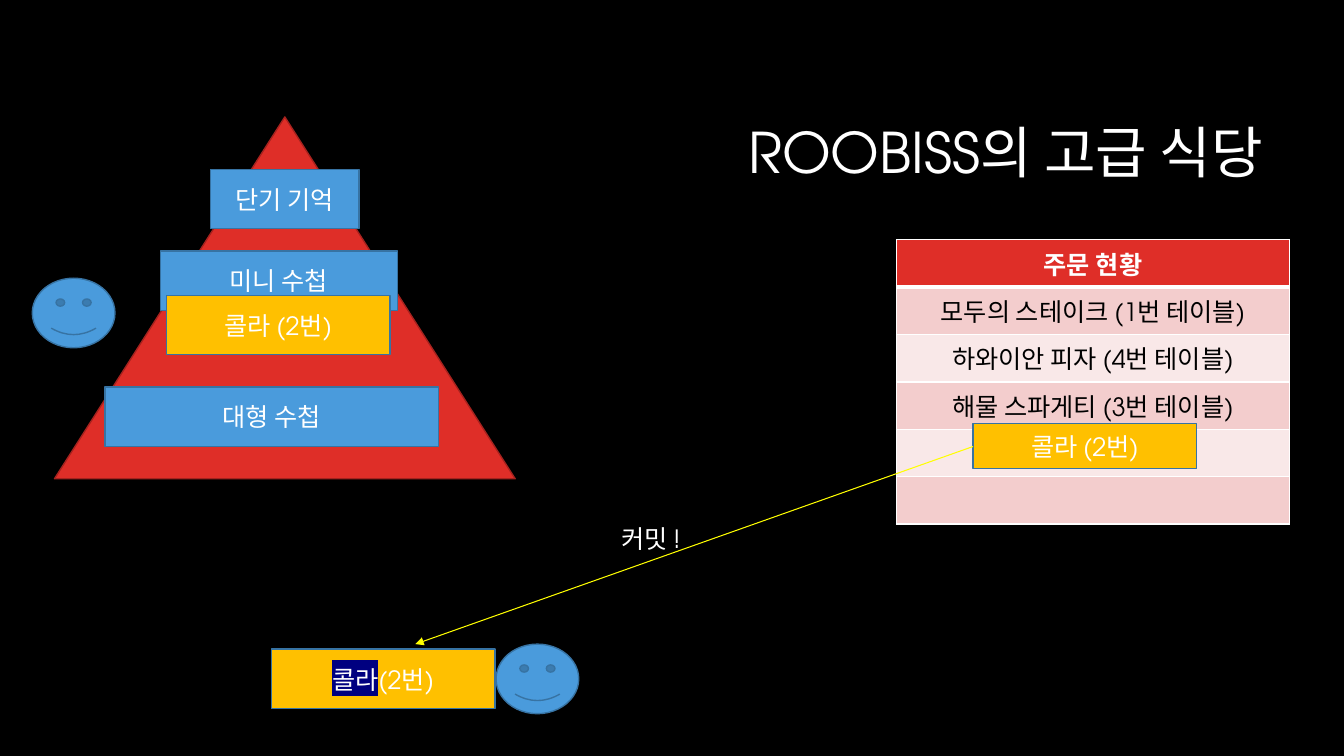
from lxml import etree
from pptx import Presentation
from pptx.dml.color import RGBColor
from pptx.enum.shapes import MSO_CONNECTOR, MSO_SHAPE
from pptx.enum.text import MSO_ANCHOR, MSO_AUTO_SIZE, PP_ALIGN
from pptx.oxml import parse_xml
from pptx.oxml.ns import nsdecls, qn
from pptx.util import Inches, Pt

FONT = "TeX Gyre Adventor"
COLORS = {
    "black": "000000", "white": "FFFFFF", "red": "DF2E28", "dark_red": "A5221E",
    "blue": "4A9BDC", "dark_blue": "3773A3", "gold": "FFC000", "yellow": "FFFF00",
    "band_dark": "F3CDCD", "band_light": "F9E8E8", "navy": "000080",
}
RGB = {name: RGBColor.from_string(value) for name, value in COLORS.items()}

prs = Presentation()
prs.slide_width, prs.slide_height = Inches(13.33), Inches(7.5)
s = prs.slides.add_slide(prs.slide_layouts[6])
s.background.fill.solid()
s.background.fill.fore_color.rgb = RGB["black"]


def write(tf, text, size=18, color="white", bold=False, align=PP_ALIGN.CENTER):
    """Add a run to the first paragraph and return it."""
    p = tf.paragraphs[0]
    p.alignment = align
    r = p.add_run()
    r.text = text
    r.font.size, r.font.bold, r.font.name = Pt(size), bold, FONT
    r.font.color.rgb = RGB[color]
    return r


def add_block(kind, box, fill, line="dark_blue", text=""):
    sp = s.shapes.add_shape(kind, *map(Inches, box))
    sp.shadow.inherit = False
    sp.fill.solid()
    sp.fill.fore_color.rgb = RGB[fill]
    sp.line.color.rgb = RGB[line]
    sp.line.width = Pt(1)
    if text:
        write(sp.text_frame, text)
    return sp


# Title
title = s.shapes.add_textbox(Inches(1.77), Inches(0.84), Inches(10.85), Inches(1.41))
tf = title.text_frame
tf.word_wrap = True
tf.vertical_anchor = MSO_ANCHOR.MIDDLE
write(tf, "ROOBISS의 고급 식당", size=40, align=PP_ALIGN.RIGHT)
tf.paragraphs[0].line_spacing = 0.9

# Order table
orders = ["주문 현황", "모두의 스테이크 (1번 테이블)", "하와이안 피자 (4번 테이블)",
          "해물 스파게티 (3번 테이블)", "", ""]
row_height = 0.47
table = s.shapes.add_table(len(orders), 1, Inches(8.89), Inches(2.38), Inches(3.9),
                           Inches(row_height * len(orders))).table
for i, order in enumerate(orders):
    header = i == 0
    table.rows[i].height = Inches(row_height)
    cell = table.cell(i, 0)
    cell.fill.solid()
    cell.fill.fore_color.rgb = RGB["red" if header else "band_dark" if i % 2 else "band_light"]
    if order:
        write(cell.text_frame, order, color="white" if header else "black", bold=header)
    tcPr = cell._tc.get_or_add_tcPr()
    for k, side in enumerate("LRTB"):
        thick = (header and side == "B") or (i == 1 and side == "T")
        tcPr.insert(k, parse_xml(
            f'<a:ln{side} {nsdecls("a")} w="{Pt(3 if thick else 1)}"><a:solidFill>'
            f'<a:srgbClr val="{COLORS["white"]}"/></a:solidFill></a:ln{side}>'))

# Memory pyramid
add_block(MSO_SHAPE.ISOSCELES_TRIANGLE, (0.54, 1.16, 4.57, 3.59), "red", "dark_red")
for text, left, top, width in [("단기 기억", 2.09, 1.68, 1.47),
                               ("미니 수첩", 1.59, 2.49, 2.35),
                               ("대형 수첩", 1.04, 3.84, 3.31)]:
    add_block(MSO_SHAPE.RECTANGLE, (left, top, width, 0.59), "blue", text=text)

# Waiters
for left, top in [(0.32, 2.76), (4.92, 6.39)]:
    add_block(MSO_SHAPE.SMILEY_FACE, (left, top, 0.82, 0.69), "blue")

# Cola orders
for left, top, height in [(1.65, 2.93, 0.59), (9.65, 4.2, 0.45)]:
    add_block(MSO_SHAPE.RECTANGLE, (left, top, 2.22, height), "gold", text="콜라 (2번)")

# Commit label
label = s.shapes.add_textbox(Inches(6.03), Inches(5.14), Inches(0.85), Inches(0.4))
label.text_frame.word_wrap = False
label.text_frame.auto_size = MSO_AUTO_SIZE.SHAPE_TO_FIT_TEXT
write(label.text_frame, "커밋 !")

# Committed order with its highlighted name
committed = add_block(MSO_SHAPE.RECTANGLE, (2.69, 6.44, 2.22, 0.59), "gold")
r = write(committed.text_frame, "콜라")
r._r.rPr.find(qn("a:solidFill")).addnext(parse_xml(
    f'<a:highlight {nsdecls("a")}><a:srgbClr val="{COLORS["navy"]}"/></a:highlight>'))
write(committed.text_frame, "(2번)")

# Commit arrow
arrow = s.shapes.add_connector(MSO_CONNECTOR.STRAIGHT, Inches(9.65), Inches(4.43),
                               Inches(4.12), Inches(6.39))
arrow.line.color.rgb = RGB["yellow"]
arrow.line.width = Pt(0.75)
etree.SubElement(arrow.line._get_or_add_ln(), qn("a:tailEnd"), type="triangle")
etree.SubElement(arrow._element.spPr, qn("a:effectLst"))

prs.save("out.pptx")
